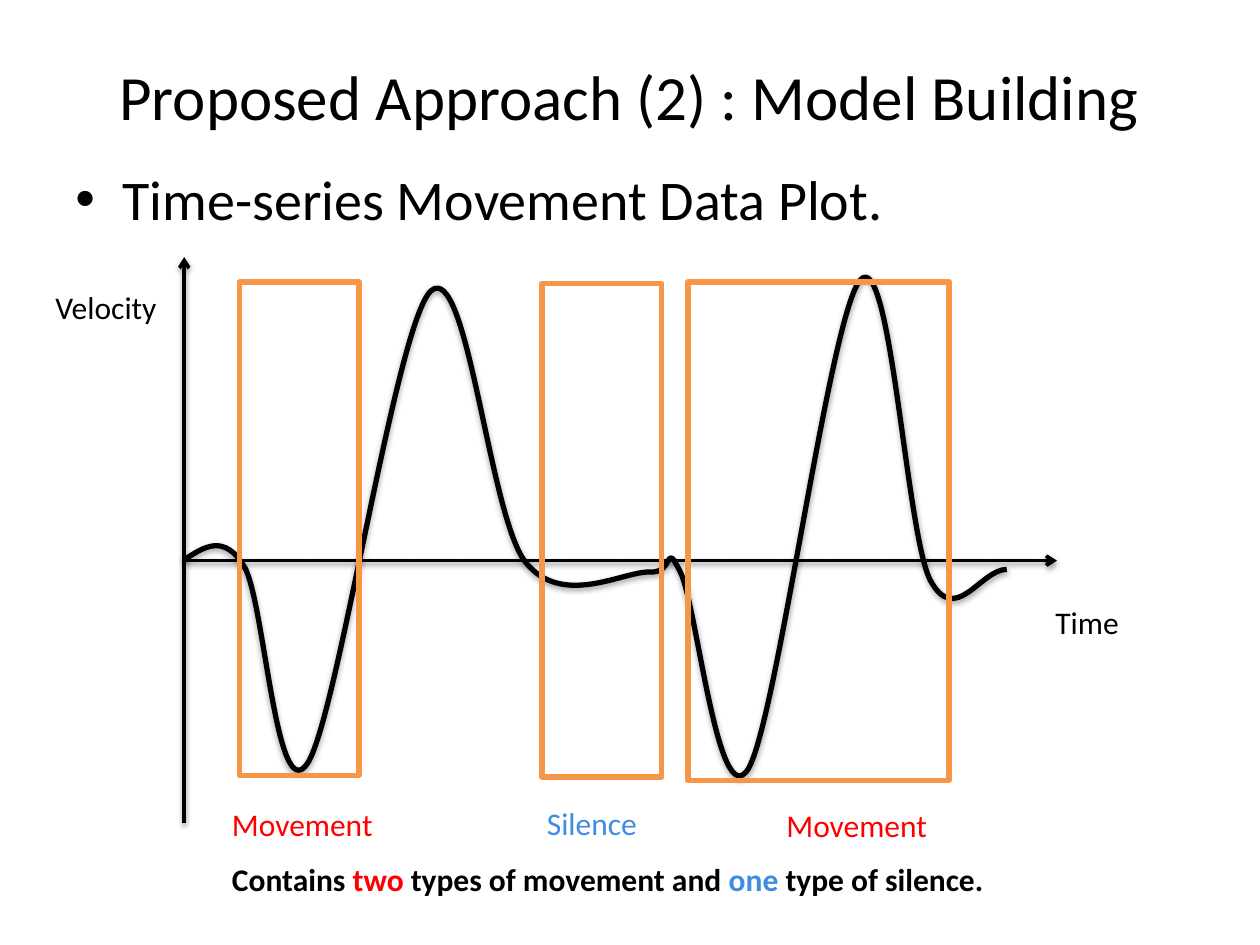
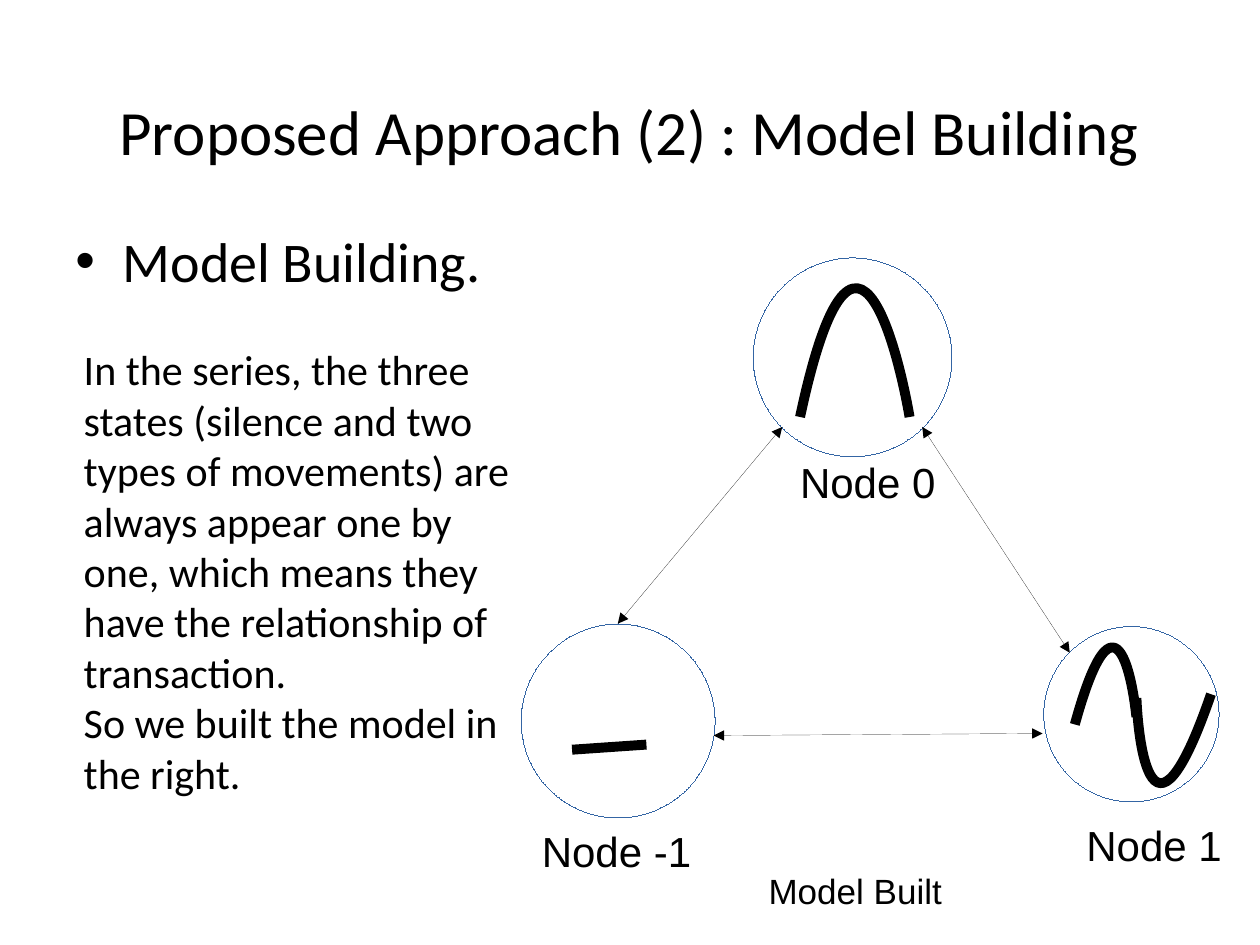
"""Build two slides on model building from time-series movement data."""
import lxml.etree
import pptx
import pptx.dml.color
import pptx.enum.shapes
import pptx.enum.text
import pptx.oxml
import pptx.oxml.ns
import pptx.util

Pt = pptx.util.Pt
qn = pptx.oxml.ns.qn
Sub = lxml.etree.SubElement
Kind = pptx.enum.shapes.MSO_SHAPE

HUE = {"ink": "000000", "paper": "FFFFFF", "red": "FF0000",
       "blue": "3F8DE2", "box": "F79646", "ring": "3465A4"}
TITLE = "Proposed Approach (2) : Model Building"

WAVE = [(105.1, 320), (116.6, 312.5), (128.2, 304.6), (139.7, 324),
        (151.2, 343.4), (157.7, 463), (175.7, 436.3),
        (193, 410.4), (226.1, 185.8), (246.2, 166.3),
        (267.1, 147.6), (279.4, 294.5), (300.2, 321.1),
        (321.1, 347.8), (356.4, 326.2), (371.5, 326.9),
        (385.9, 327.6), (379.4, 308.2), (388.8, 326.9),
        (398.2, 345.6), (410.4, 467.3), (427.7, 439.2),
        (444.2, 411.1), (474.5, 177.8), (491.8, 159.8),
        (509, 141.8), (517.7, 303.1), (531.4, 331.2),
        (545.8, 358.6), (560.2, 325.4), (575.3, 325.4)]
FRAME = (105.1, 158.4, 470.2, 285.1)
AXES = [((105.3, 320.4), (604, 320.4)), ((105.3, 470.2), (105.3, 146.9))]
SPANS = [(309.7, 162, 68.5, 282), (393.2, 161.2, 149.1, 285), (136.7, 161.2, 68.5, 282)]
LABELS = [("Velocity", (24.6, 161.2, 80.6, 29), "ink"),
          ("Time", (596, 341.3, 57.6, 29), "ink"),
          ("Silence", (305.4, 456, 66.2, 29), "blue"),
          ("Movement", (442.3, 457, 103, 29), "red"),
          ("Movement", (125.5, 456.5, 103, 29), "red")]
CLAIM = [("Contains ", "ink"), ("two ", "red"),
         ("types of movement and ", "ink"), ("one", "blue"),
         (" type of silence.", "ink")]

PROSE = ["In the series, the three states (silence and two types of movements) "
         "are always appear one by one, which means they have the "
         "relationship of transaction.",
         "So we built the model in the right."]
NODES = [("Node 0", (430.4, 147.4, 113.6), (457.2, 260.8)),
         ("Node -1", (297.8, 356.6, 110.8), (309.6, 471.6)),
         ("Node 1", (596.4, 358, 100.2), (620.8, 468.2))]
LINKS = [((447, 244), (353, 356.4)), ((527, 244), (611.3, 373))]
BASE = [(408.2, 428.4), (470.6, 422.6), (533, 416.9), (595.4, 411.1)]
TILT = 4.9
ARCS = [[(614.2, 414), (640.8, 317.5), (649.4, 409.7), (649.4, 409.7)],
        [(692, 396.7), (653, 509.8), (649.4, 398.9), (649.4, 398.9)],
        [(457.2, 238.3), (492.5, 72.7), (519.8, 238.3), (519.8, 238.3)]]
DASH = ((326.9, 428.4), (369.4, 425.5))


def rgb(hue):
    return pptx.dml.color.RGBColor.from_string(HUE[hue])


def text(slide, box, paras, size, hue="ink", font="Calibri", bold=False,
         inset=True, wrap=True):
    """Add a text box; a paragraph is a string or a list of (words, hue)."""
    frame = slide.shapes.add_textbox(*map(Pt, box)).text_frame
    frame.word_wrap = wrap
    if not inset:
        frame.margin_left = frame.margin_right = 0
        frame.margin_top = frame.margin_bottom = 0
    for i, para in enumerate(paras):
        line = frame.add_paragraph() if i else frame.paragraphs[0]
        parts = [(para, hue)] if isinstance(para, str) else para
        for words, tint in parts:
            run = line.add_run()
            run.text = words
            run.font.size = Pt(size)
            run.font.name = font
            run.font.bold = bold
            run.font.color.rgb = rgb(tint)
    return frame


def stroke(shape, hue, width=None):
    """Colour the outline; without a width it is a hairline."""
    style = shape._element.find(qn("p:style"))
    if style is not None:
        shape._element.remove(style)
    shape.line.color.rgb = rgb(hue)
    if width:
        shape.line.width = Pt(width)


def tips(shape, head, tail):
    for tag, tip in (("a:headEnd", head), ("a:tailEnd", tail)):
        if tip:
            Sub(shape.line._get_or_add_ln(), qn(tag), type=tip)


def shade(shape, soft):
    """Give the shape a soft drop shadow, or none."""
    fx = Sub(shape._element.spPr, qn("a:effectLst"))
    if soft:
        drop = Sub(fx, qn("a:outerShdw"), blurRad=str(Pt(3.1)),
                   dist=str(Pt(1.6)), dir="5400000", rotWithShape="0")
        tint = Sub(drop, qn("a:srgbClr"), val=HUE["ink"])
        Sub(tint, qn("a:alpha"), val="38000")


def link(slide, ends, width=None, head=None, tail=None, soft=False):
    (x, y), (u, v) = ends
    kind = pptx.enum.shapes.MSO_CONNECTOR.STRAIGHT
    line = slide.shapes.add_connector(kind, Pt(x), Pt(y), Pt(u), Pt(v))
    stroke(line, "ink", width)
    tips(line, head, tail)
    shade(line, soft)


def hull(knots):
    xs, ys = zip(*knots)
    return min(xs), min(ys), max(xs) - min(xs), max(ys) - min(ys)


def curve(slide, knots, width=None, box=None, soft=False, tip=None):
    """Draw chained cubic curves whose knots share end points."""
    x, y, w, h = box or hull(knots)
    pen = slide.shapes.build_freeform(Pt(x), Pt(y))
    pen.add_line_segments([(Pt(x + w), Pt(y + h))], close=False)
    shape = pen.convert_to_shape()
    route = next(shape._element.iter(qn("a:path")))
    for step in list(route):
        route.remove(step)
    for i, (u, v) in enumerate(knots):
        if i == 0:
            step = Sub(route, qn("a:moveTo"))
        elif i % 3 == 1:
            step = Sub(route, qn("a:cubicBezTo"))
        Sub(step, qn("a:pt"), x=str(Pt(u - x)), y=str(Pt(v - y)))
    shape.fill.background()
    stroke(shape, "ink", width)
    tips(shape, tip, tip)
    shade(shape, soft)
    return shape


def form(slide, kind, box, hue, width=None, fill=None):
    shape = slide.shapes.add_shape(kind, *map(Pt, box))
    shape.shadow.inherit = False
    if fill:
        shape.fill.solid()
        shape.fill.fore_color.rgb = rgb(fill)
    else:
        shape.fill.background()
    stroke(shape, hue, width)


def start(deck, point, top, high, below):
    """Add a slide with the shared title and one bullet."""
    slide = deck.slides.add_slide(deck.slide_layouts[6])
    head = text(slide, (42.8, top, 633.6, high), [TITLE], 36)
    head.vertical_anchor = pptx.enum.text.MSO_ANCHOR.MIDDLE
    head.paragraphs[0].alignment = pptx.enum.text.PP_ALIGN.CENTER
    body = text(slide, (36, below, 648, 356.4), [point], 32)
    props = body.paragraphs[0]._p.get_or_add_pPr()
    props.set("marL", str(Pt(27)))
    props.set("indent", str(Pt(-27)))
    Sub(props, qn("a:buFont"), typeface="Arial")
    Sub(props, qn("a:buChar"), char="•")
    return slide


def plot(deck):
    slide = start(deck, "Time-series Movement Data Plot.", 2.1, 105, 90.3)
    curve(slide, WAVE, 3, FRAME, soft=True)
    for ends in AXES:
        link(slide, ends, 2, tail="arrow", soft=True)
    for box in SPANS:
        form(slide, Kind.RECTANGLE, box, "box", 3)
    for words, box, hue in LABELS:
        text(slide, box, [words], 18, hue, wrap=False)
    text(slide, (125.5, 488.1, 486.7, 29), [CLAIM], 18, bold=True)


def model(deck):
    slide = start(deck, "Model Building.", 35.3, 78.5, 126)
    for name, (x, y, size), spot in NODES:
        form(slide, Kind.OVAL, (x, y, size, size), "ring", fill="paper")
        text(slide, (*spot, 86.4, 60.5), [name], 24, font="Arial", inset=False)
    for ends in LINKS:
        link(slide, ends, head="triangle", tail="triangle")
    curve(slide, BASE, tip="triangle").rotation = TILT
    link(slide, DASH, 5.67)
    for arc in ARCS:
        curve(slide, arc, 5.67)
    text(slide, (40.8, 193, 268.6, 269.3), PROSE, 24)
    text(slide, (439.2, 496.6, 198.7, 30), ["Model Built"], 20, font="Arial", inset=False)


def main():
    deck = pptx.Presentation()
    deck.slide_width, deck.slide_height = Pt(720), Pt(540)
    plot(deck)
    model(deck)
    deck.save("out.pptx")


if __name__ == "__main__":
    main()
